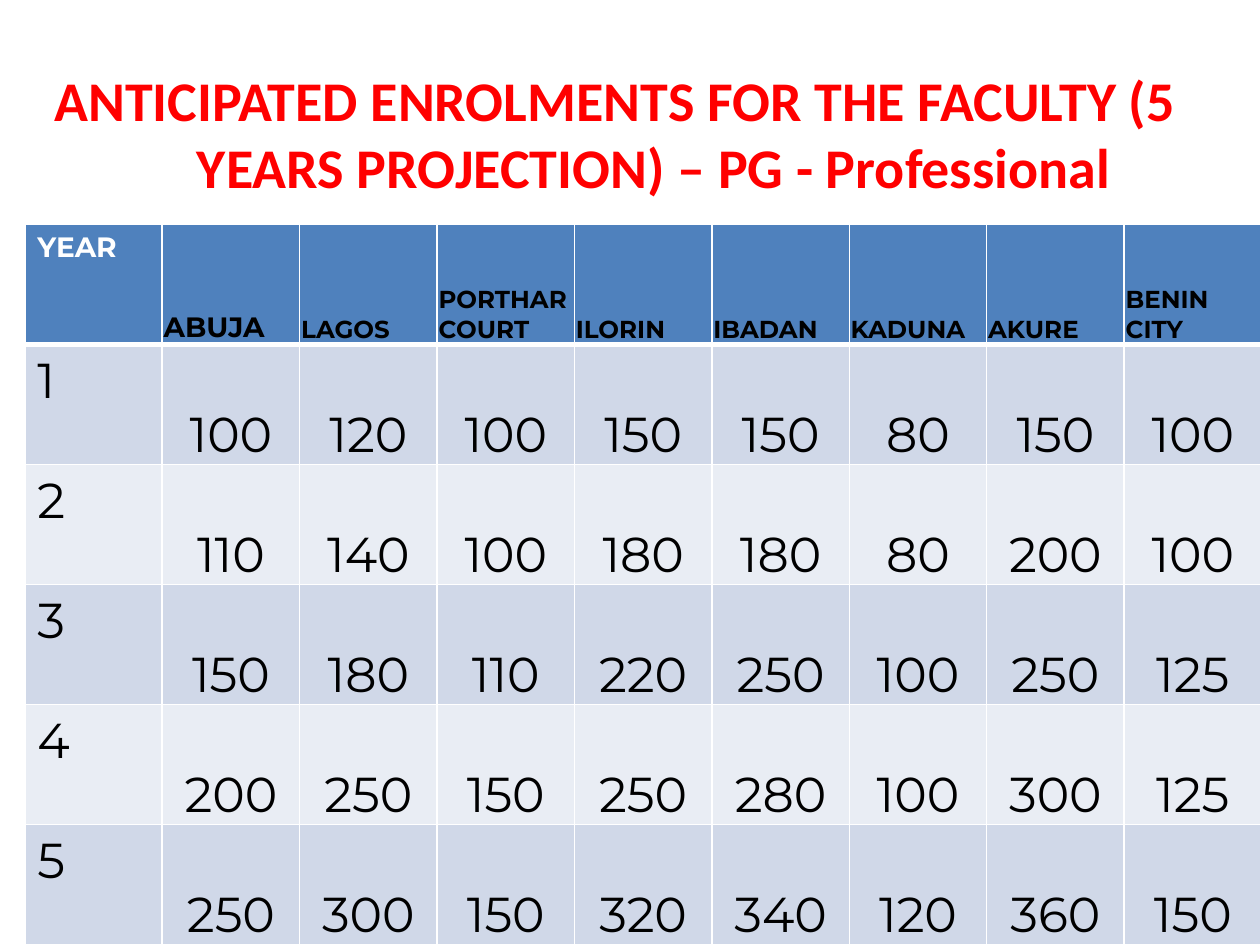
from dataclasses import dataclass

from lxml import etree
from pptx import Presentation
from pptx import util as u
from pptx.dml.color import RGBColor
from pptx.enum import text
from pptx.oxml import ns


@dataclass(frozen=True)
class Theme:
    title_font: str = "Calibri"
    table_font: str = "Montserrat"
    title_color: str = "FF0000"
    header_fill: str = "4F81BD"
    bands: tuple = ("D0D8E8", "E9EDF4")
    light: str = "FFFFFF"
    dark: str = "000000"
    title_size: int = 32
    year_size: int = 16
    city_size: int = 14
    body_size: int = 28


CITIES = ["ABUJA", "LAGOS", "PORTHARCOURT", "ILORIN", "IBADAN", "KADUNA", "AKURE", "BENIN CITY"]
ENROLMENTS = [
    [100, 120, 100, 150, 150, 80, 150, 100],
    [110, 140, 100, 180, 180, 80, 200, 100],
    [150, 180, 110, 220, 250, 100, 250, 125],
    [200, 250, 150, 250, 280, 100, 300, 125],
    [250, 300, 150, 320, 340, 120, 360, 150],
]


def set_values(target, values):
    for name, value in values.items():
        setattr(target, name, value)


class SlideBuilder:
    def __init__(self, slide, theme):
        self.slide = slide
        self.theme = theme

    def add_text(self, paragraph, content, font, size, color, bold=False):
        run = paragraph.add_run()
        run.text = str(content)
        set_values(run.font, {"name": font, "size": u.Pt(size), "bold": bold})
        run.font.color.rgb = RGBColor.from_string(color)

    def title(self, content, left, top, width, height, hanging):
        """Add a centred title whose wrapped lines keep a hanging indent."""
        theme = self.theme
        box = self.slide.shapes.add_textbox(left, top, width, height)
        set_values(box.text_frame, {"word_wrap": True, "margin_top": u.Cm(0.2)})
        paragraph = box.text_frame.paragraphs[0]
        paragraph.alignment = text.PP_ALIGN.CENTER
        properties = paragraph._p.get_or_add_pPr()
        properties.set("marL", str(hanging))
        properties.set("indent", str(-hanging))
        self.add_text(paragraph, content, theme.title_font, theme.title_size, theme.title_color, True)

    def borders(self, cell, widths):
        """Draw the cell edges; widths maps an edge letter to points."""
        properties = cell._tc.get_or_add_tcPr()
        for edge, width in widths.items():
            line = etree.SubElement(properties, ns.qn(f"a:ln{edge}"), w=str(u.Pt(width)))
            fill = etree.SubElement(line, ns.qn("a:solidFill"))
            etree.SubElement(fill, ns.qn("a:srgbClr"), val=self.theme.light)

    def cell_style(self, row, column):
        """Return the size, colour and fill for a place in the table."""
        theme = self.theme
        if row > 0:
            return theme.body_size, theme.dark, theme.bands[(row - 1) % 2]
        if column == 0:
            return theme.year_size, theme.light, theme.header_fill
        size = theme.year_size if column == 1 else theme.city_size
        return size, theme.dark, theme.header_fill

    def cell(self, cell, content, row, column):
        size, color, fill = self.cell_style(row, column)
        self.borders(cell, {"L": 1, "R": 1, "T": 3 if row == 1 else 1, "B": 3 if row == 0 else 1})
        cell.fill.solid()
        cell.fill.fore_color.rgb = RGBColor.from_string(fill)
        paragraph = cell.text_frame.paragraphs[0]
        if column > 0:
            edge = u.Cm(0.03)
            set_values(cell, {
                "vertical_anchor": text.MSO_ANCHOR.BOTTOM,
                "margin_left": edge, "margin_right": edge,
                "margin_top": edge, "margin_bottom": 0,
            })
            if row > 0:
                paragraph.alignment = text.PP_ALIGN.CENTER
        self.add_text(paragraph, content, self.theme.table_font, size, color, row == 0)

    def table(self, rows, left, top, column_width, row_height):
        columns = len(rows[0])
        frame = self.slide.shapes.add_table(
            len(rows), columns, left, top, column_width * columns, row_height * len(rows))
        table = frame.table
        for column in table.columns:
            column.width = column_width
        for row, values in enumerate(rows):
            table.rows[row].height = row_height
            for column, value in enumerate(values):
                self.cell(table.cell(row, column), value, row, column)


def main():
    presentation = Presentation()
    set_values(presentation, {"slide_width": u.Cm(25.4), "slide_height": u.Cm(19.05)})
    slide = presentation.slides.add_slide(presentation.slide_layouts[6])
    builder = SlideBuilder(slide, Theme())
    builder.title(
        "ANTICIPATED ENROLMENTS FOR THE FACULTY (5 YEARS PROJECTION) – PG - Professional",
        u.Cm(0.5), u.Cm(1.12), u.Cm(23.8), u.Cm(17), hanging=u.Cm(1.57))
    rows = [["YEAR", *CITIES]]
    rows += [[year, *values] for year, values in enumerate(ENROLMENTS, start=1)]
    builder.table(rows, u.Cm(0.5), u.Cm(4.52), column_width=u.Cm(2.77), row_height=u.Cm(2.42))
    presentation.save("out.pptx")


if __name__ == "__main__":
    main()
